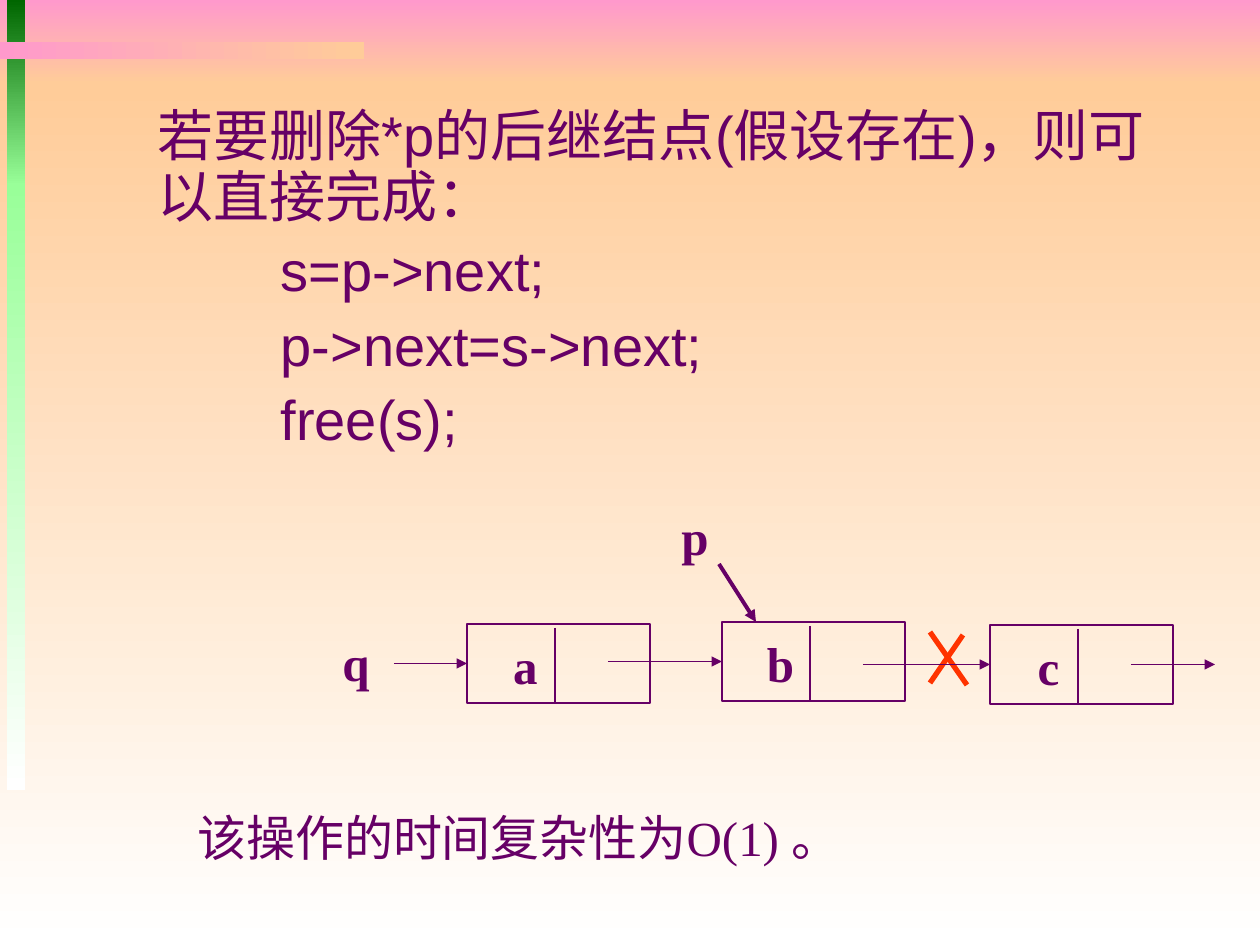
from lxml.etree import SubElement
from pptx import Presentation
from pptx.dml.color import RGBColor
from pptx.enum.shapes import MSO_CONNECTOR as Link, MSO_SHAPE as Preset
from pptx.enum.text import MSO_ANCHOR as Anchor, MSO_AUTO_SIZE as Fit, PP_ALIGN as Align
from pptx.oxml.ns import qn
from pptx.util import Emu, Pt

PURPLE = RGBColor(0x66, 0x00, 0x66)
RED = RGBColor(0xFF, 0x33, 0x00)
PINK = RGBColor(0xFF, 0x99, 0xCC)
PEACH = RGBColor(0xFF, 0xCC, 0x99)
WHITE = RGBColor(0xFF, 0xFF, 0xFF)
GREEN = RGBColor(0x00, 0x66, 0x00)
MINT = RGBColor(0x99, 0xFF, 0x99)

DOWN, RIGHT = 270, 0
BANDS = [
    ((0, 0, 1260, 84), PINK, PEACH, DOWN),
    ((0, 84, 1260, 861), PEACH, WHITE, DOWN),
    ((7, 0, 18, 186), GREEN, MINT, DOWN),
    ((7, 184, 18, 606), MINT, WHITE, DOWN),
    ((0, 42, 364, 17), PINK, PEACH, RIGHT),
]
INTRO = "若要删除*p的后继结点(假设存在)，则可以直接完成："
CODE = ["s=p->next;", "p->next=s->next;", "free(s);"]
INTRO_INDENT, CODE_INDENT = 53, 176
CONCLUSION = "该操作的时间复杂性为O(1) 。"
NODES = [("a", 467, 624), ("b", 722, 622), ("c", 990, 625)]
NODE_W, NODE_H = 183, 79
DIVIDER_X, POINTER_X, LETTER_X = 88, 141, 33
HEAD_START, LAST_POINTER_END = 394, 1215
CROSS = [((963, 635), (930, 683)), ((930, 632), (967, 685))]


def px(count):
    return Emu(round(count * 914400 / 126))


def write(shape, lines, size=28, font="Times New Roman", bold=False, align=Align.LEFT,
          anchor=Anchor.TOP, wrap=False, spacing=1.0, before=0, indents=None):
    frame = shape.text_frame
    frame.word_wrap = wrap
    frame.auto_size = Fit.NONE
    frame.vertical_anchor = anchor
    for i, line in enumerate(lines):
        paragraph = frame.paragraphs[0] if i == 0 else frame.add_paragraph()
        paragraph.alignment = align
        paragraph.line_spacing = spacing
        paragraph.space_before = Pt(before)
        run = paragraph.add_run()
        run.text = line
        run.font.size = Pt(size)
        run.font.name = font
        run.font.bold = bold
        run.font.color.rgb = PURPLE
        if indents:
            props = paragraph._p.get_or_add_pPr()
            props.set("marL", str(px(indents[i])))
            props.set("indent", "0")
            SubElement(props, qn("a:buNone"))


def add_text(slide, box, text, **style):
    write(slide.shapes.add_textbox(*map(px, box)), [text], **style)


def add_rect(slide, box):
    rect = slide.shapes.add_shape(Preset.RECTANGLE, *map(px, box))
    rect.shadow.inherit = False
    return rect


def add_band(slide, box, first, last, angle):
    band = add_rect(slide, box)
    band.line.fill.background()
    band.fill.gradient()
    band.fill.gradient_angle = angle
    for stop, color, position in zip(band.fill.gradient_stops, (first, last), (0, 1)):
        stop.color.rgb = color
        stop.position = position


def add_line(slide, start, end, color=PURPLE, width=0.75, arrow=False):
    line = slide.shapes.add_connector(Link.STRAIGHT, *map(px, (*start, *end)))
    line.line.color.rgb = color
    line.line.width = Pt(width)
    props = line._element.spPr
    if arrow:
        SubElement(props.find(qn("a:ln")), qn("a:tailEnd"), type="triangle")
    SubElement(props, qn("a:effectLst"))
    return line


def add_node(slide, letter, left, top):
    node = add_rect(slide, (left, top, NODE_W, NODE_H))
    node.fill.background()
    node.line.color.rgb = PURPLE
    node.line.width = Pt(0.75)
    divider = left + DIVIDER_X
    add_line(slide, (divider, top + 4), (divider, top + NODE_H))
    add_text(slide, (left + LETTER_X, top + 5, 51, 72), letter, **LETTER)
    return node


LETTER = dict(bold=True, align=Align.CENTER, anchor=Anchor.MIDDLE)


def main():
    deck = Presentation()
    deck.slide_width, deck.slide_height = px(1260), px(945)
    slide = deck.slides.add_slide(deck.slide_layouts[1])
    title, body = slide.shapes.title, slide.placeholders[1]
    tree = title.element.getparent()
    tree.remove(title.element)

    for band in BANDS:
        add_band(slide, *band)

    tree.append(body.element)
    body.left, body.top, body.width, body.height = map(px, (92, 102, 1102, 404))
    write(body, [INTRO, *CODE], size=32, font="Arial", wrap=True, spacing=0.9, before=8,
          indents=[INTRO_INDENT] + [CODE_INDENT] * len(CODE))
    add_text(slide, (185, 808, 692, 66), CONCLUSION, spacing=0.9, before=7)

    for start, end in CROSS:
        add_line(slide, start, end, color=RED, width=3)

    add_text(slide, (331, 626, 50, 72), "q", **LETTER)
    pointer_x = HEAD_START
    for letter, left, top in NODES:
        node = add_node(slide, letter, left, top)
        middle = top + NODE_H / 2
        pointer = add_line(slide, (pointer_x, middle), (left, middle), arrow=True)
        pointer.end_connect(node, 1)
        pointer_x = left + POINTER_X
    add_line(slide, (pointer_x, middle), (LAST_POINTER_END, middle), arrow=True)

    add_text(slide, (669, 512, 58, 60), "p", bold=True, spacing=0.8)
    add_line(slide, (719, 564), (756, 622), width=2.25, arrow=True)
    deck.save("out.pptx")


if __name__ == "__main__":
    main()
